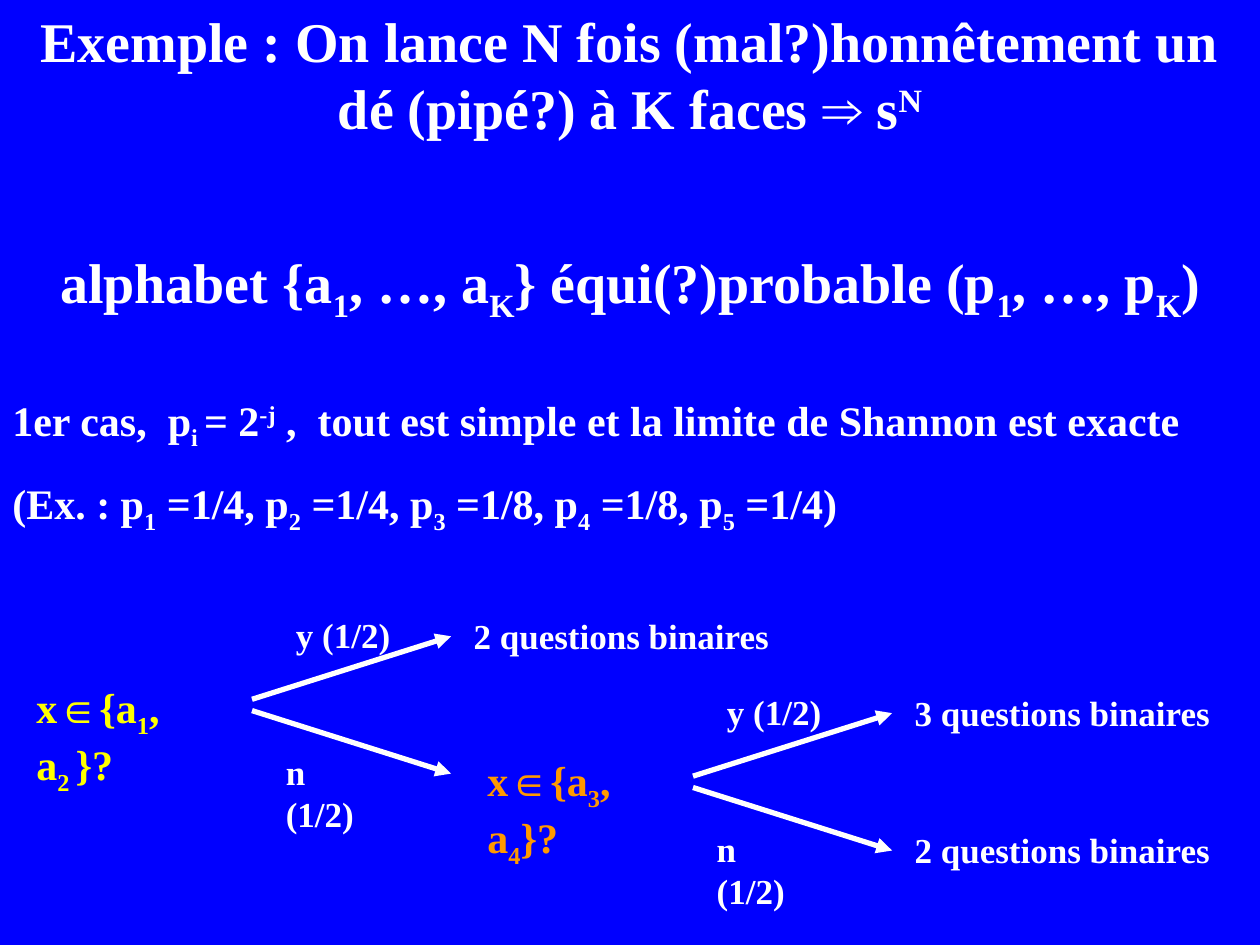
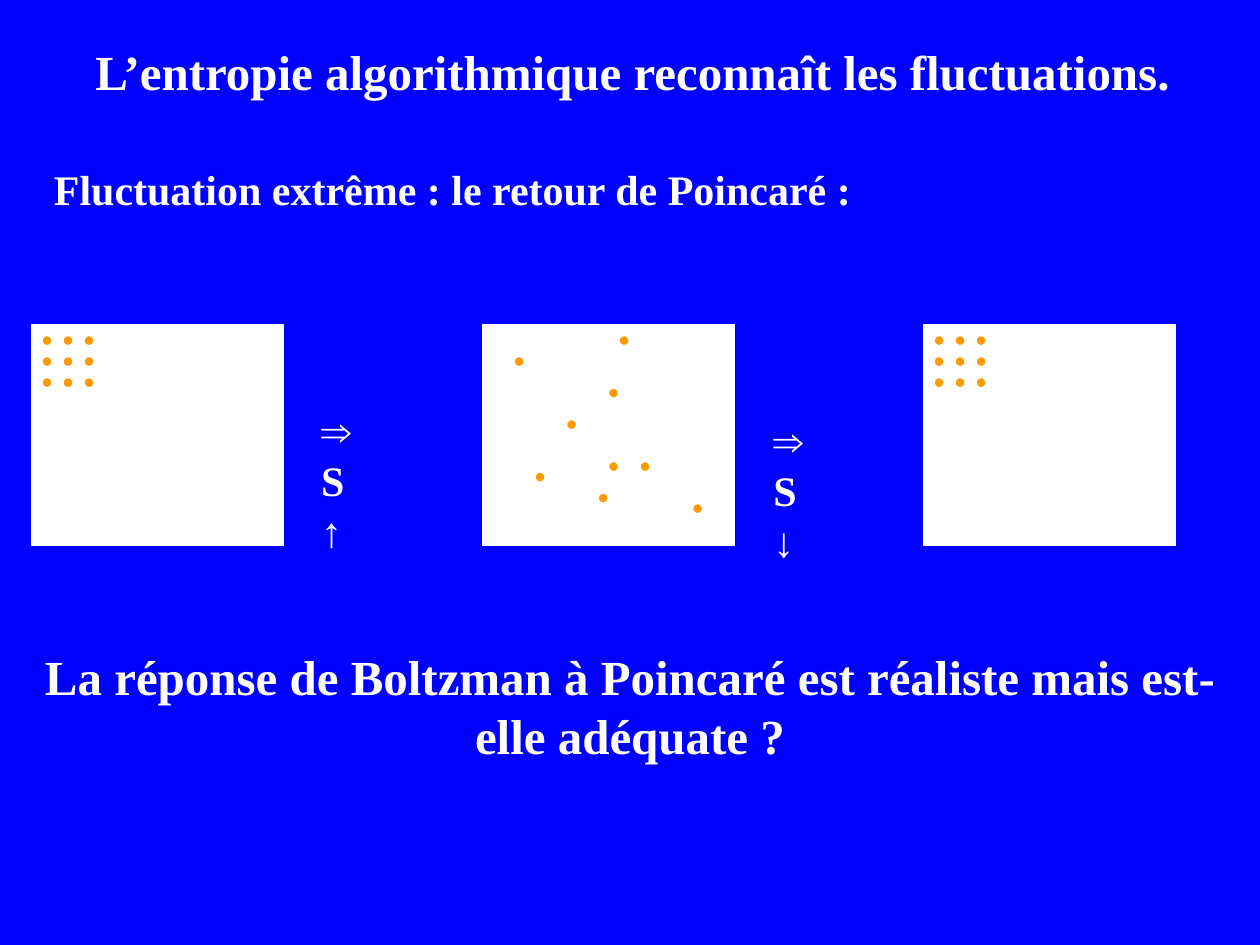
"""Build two slides on algorithmic entropy: dice questions and fluctuations."""
from dataclasses import dataclass
from itertools import product

from lxml import etree
from pptx import Presentation
from pptx.dml.color import RGBColor
from pptx.enum.shapes import MSO_CONNECTOR, MSO_SHAPE
from pptx.enum.text import PP_ALIGN
from pptx.oxml.ns import qn
from pptx.slide import Slide
from pptx.util import Inches, Pt

RECT, OVAL = MSO_SHAPE.RECTANGLE, MSO_SHAPE.OVAL
LINE = MSO_CONNECTOR.STRAIGHT
LEFT, MID = PP_ALIGN.LEFT, PP_ALIGN.CENTER


@dataclass(frozen=True)
class Theme:
    """Colours, fonts and type sizes of the deck."""
    back: RGBColor = RGBColor(0, 0, 255)
    white: RGBColor = RGBColor(255, 255, 255)
    gold: RGBColor = RGBColor(255, 255, 0)
    amber: RGBColor = RGBColor(255, 153, 0)
    font: str = "Times New Roman"
    sign: str = "Arial"
    huge: int = 32
    head: int = 28
    body: int = 24
    note: int = 20


THEME = Theme()
SHIFT = {"_": "-25000", "^": "30000"}


@dataclass(frozen=True)
class Text:
    """Lines of marked text: |_ sub, |^ super, |~ sign font, | plain."""
    left: float
    top: float
    width: float
    height: float
    lines: tuple[str, ...]
    size: int = THEME.body
    tint: RGBColor = THEME.white
    align: PP_ALIGN = LEFT
    gaps: tuple[float, ...] = (0, 0)
    wrap: bool = True


@dataclass(frozen=True)
class Fork:
    """A yes/no branching, with its label inset and its outcomes."""
    left: float
    top: float
    inset: float
    ends: tuple[str, ...]


@dataclass(frozen=True)
class Frame:
    """A box of particles placed in twelfths of an inch."""
    left: float
    dots: tuple[tuple[int, int], ...]


GRID = tuple(product((1, 3, 5), repeat=2))
LOOSE = ((12, 6), (13, 1), (5, 14), (3, 3), (15, 13), (20, 17), (11, 16),
         (12, 13), (8, 9))
FRAMES = (Frame(0.25, GRID), Frame(3.83, LOOSE), Frame(7.33, GRID))
FORKS = (
    Fork(2, 5.05, 0.25, ("2 questions binaires",)),
    Fork(5.5, 5.66, 0.17, ("3 questions binaires", "2 questions binaires")),
)
DICE = (
    Text(0, 0, 10, 2.64, (
        "Exemple : On lance N fois (mal?)honnêtement un dé (pipé?) à K faces "
        "|~⇒| s|^N",
        "alphabet {a|_1|, …, a|_K|} équi(?)probable (p|_1|, …, p|_K|)",
    ), THEME.huge, align=MID, gaps=(12, 61)),
    Text(0, 3.08, 10, 1.22, (
        "1er cas,  p|_i |= 2|^-j| ,  tout est simple et la limite de Shannon "
        "est exacte",
        "(Ex. : p|_1| =1/4, p|_2| =1/4, p|_3| =1/8, p|_4| =1/8, p|_5| =1/4)",
    ), gaps=(15, 15)),
    Text(3.77, 5.94, 1.73, 0.56, ("x|~∈|{a|_3|, a|_4|}?",), tint=THEME.amber),
    Text(0.19, 5.36, 1.77, 0.56, ("x|~∈|{a|_1|, a|_2 |}?",), tint=THEME.gold),
)
FLUX = (
    Text(0, 0.28, 10.04, 0.57,
         ("L’entropie algorithmique reconnaît les fluctuations.",),
         THEME.head, align=MID),
    Text(0.33, 1.25, 6.54, 0.5,
         ("Fluctuation extrême : le retour de Poincaré :",),
         gaps=(9,), wrap=False),
    Text(2.45, 3.16, 0.52, 0.9, ("|~⇒", "S|~↑")),
    Text(6.04, 3.24, 0.52, 0.9, ("|~⇒", "S|~↓")),
    Text(0, 5.08, 10, 1.04,
         ("La réponse de Boltzman à Poincaré est réaliste mais est-elle "
          "adéquate ?",), THEME.head, align=MID, gaps=(10.5,)),
)


def write(slide: Slide, text: Text) -> None:
    """Draw a text box and its marked runs."""
    box = slide.shapes.add_textbox(Inches(text.left), Inches(text.top),
                                   Inches(text.width), Inches(text.height))
    frame = box.text_frame
    frame.word_wrap = text.wrap
    for num, (line, gap) in enumerate(zip(text.lines, text.gaps)):
        para = frame.add_paragraph() if num else frame.paragraphs[0]
        para.alignment = text.align
        para.space_before = Pt(gap)
        para.font.name = THEME.font
        para.font.size = Pt(text.size)
        para.font.bold = True
        para.font.color.rgb = text.tint
        for part in filter(None, line.split("|")):
            run = para.add_run()
            run.text = part.lstrip("_^~")
            if part[0] in SHIFT:
                run._r.get_or_add_rPr().set("baseline", SHIFT[part[0]])
            elif part[0] == "~":
                run.font.name = THEME.sign


def arrow(slide: Slide, left: float, top: float, drop: float) -> None:
    """Draw one branch that rises or falls to the right."""
    link = slide.shapes.add_connector(LINE, Inches(left), Inches(top),
                                      Inches(left + 1.58), Inches(top + drop))
    link.line.color.rgb = THEME.white
    link.line.width = Pt(3)
    etree.SubElement(link.line._get_or_add_ln(), qn("a:tailEnd"),
                     type="triangle")
    etree.SubElement(link._element.spPr, qn("a:effectLst"))


def branch(slide: Slide, fork: Fork) -> None:
    """Draw both arrows of a fork with their labels and outcomes."""
    left, top = fork.left, fork.top
    arrow(slide, left, top + 0.5, -0.5)
    arrow(slide, left, top + 0.59, 0.5)
    tags = [(fork.inset, -0.23, 0.95, "y (1/2)"),
            (fork.inset - 0.08, 0.86, 0.96, "n (1/2)")]
    tags += [(1.66, -0.22 + 1.09 * row, 2.55, end)
             for row, end in enumerate(fork.ends)]
    for over, down, width, tag in tags:
        write(slide, Text(left + over, top + down, width, 0.44, (tag,),
                          THEME.note, wrap=False))


def shape(slide: Slide, kind: MSO_SHAPE, left: float, top: float,
          width: float, height: float, tint: RGBColor) -> None:
    """Draw a filled shape with a thin white outline."""
    item = slide.shapes.add_shape(kind, Inches(left), Inches(top),
                                  Inches(width), Inches(height))
    item.shadow.inherit = False
    item.fill.solid()
    item.fill.fore_color.rgb = tint
    item.line.color.rgb = THEME.white
    item.line.width = Pt(0.75)


def gas(slide: Slide, frame: Frame) -> None:
    """Draw a box with its particles."""
    top = 2.58
    shape(slide, RECT, frame.left, top, 2, 1.75, THEME.white)
    for col, row in frame.dots:
        shape(slide, OVAL, frame.left + col / 12, top + row / 12,
              0.08, 0.08, THEME.amber)


def main() -> None:
    """Build and save the deck."""
    deck = Presentation()
    deck.slide_width, deck.slide_height = Inches(10), Inches(7.5)
    fill = deck.slide_master.background.fill
    fill.solid()
    fill.fore_color.rgb = THEME.back
    blank = deck.slide_layouts[6]

    dice = deck.slides.add_slide(blank)
    for fork in FORKS:
        branch(dice, fork)
    for text in DICE:
        write(dice, text)

    flux = deck.slides.add_slide(blank)
    for frame in FRAMES:
        gas(flux, frame)
    for text in FLUX:
        write(flux, text)

    deck.save("out.pptx")


if __name__ == "__main__":
    main()
